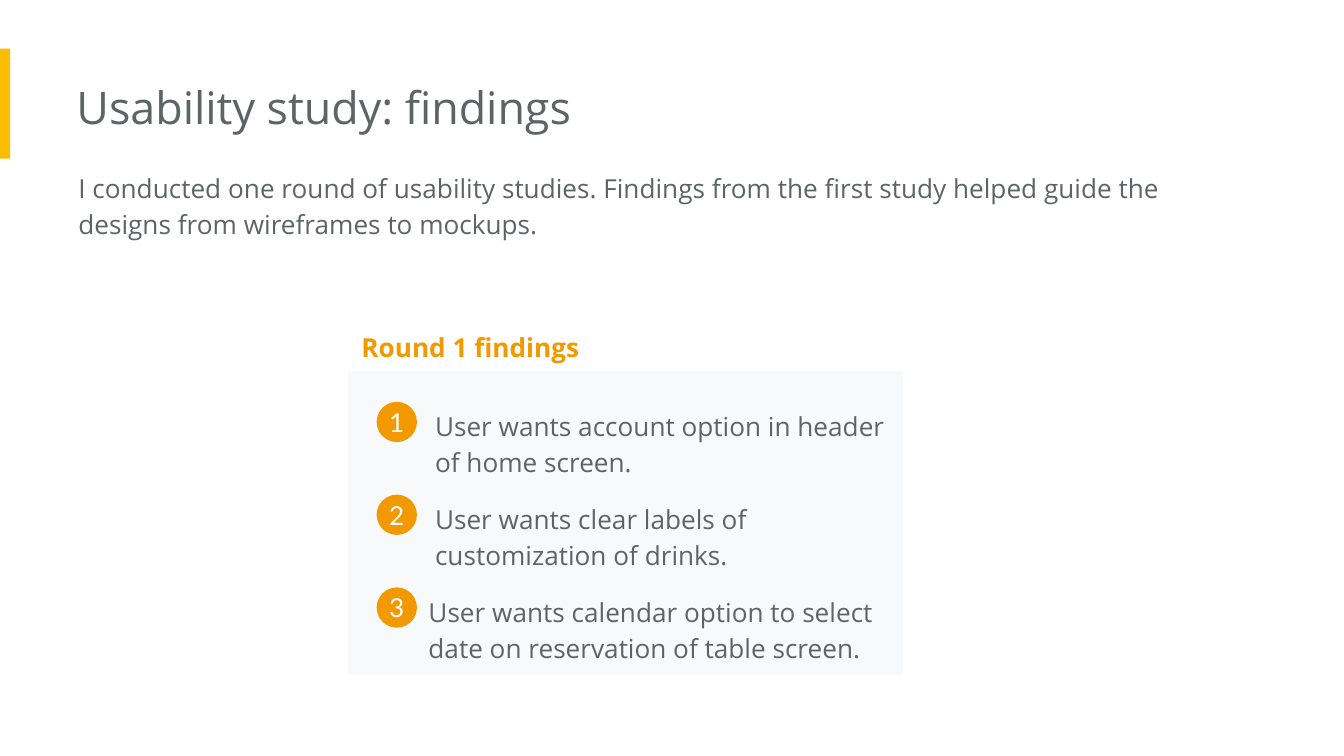
from pptx import Presentation
from pptx.dml.color import RGBColor
from pptx.enum.shapes import MSO_SHAPE
from pptx.enum.text import MSO_ANCHOR, PP_ALIGN
from pptx.util import Pt

COLORS = {
    "bar": "FBBC04",
    "text": "5F6368",
    "accent": "F29900",
    "panel": "F8F9FA",
    "white": "FFFFFF",
}
INSET = 7.2

# Left edge and wording of each finding
ITEMS = [
    (226, "User wants account option in header of home screen."),
    (226, "User wants clear labels of customization of drinks."),
    (222.5, "User wants calendar option to select date on reservation of table screen."),
]
TOP, STEP = 210.2, 49.7


def color(name):
    return RGBColor.from_string(COLORS[name])


def style(para, size, font, tint, bold=False):
    para.font.size = Pt(size)
    para.font.name = font
    para.font.bold = bold
    para.font.color.rgb = color(tint)


def add_text(slide, box, text, size=14, tint="text", bold=False, left=INSET, space=1.15):
    frame = slide.shapes.add_textbox(*map(Pt, box)).text_frame
    frame.word_wrap = True
    frame.margin_left = Pt(left)
    frame.margin_top = frame.margin_right = frame.margin_bottom = Pt(INSET)
    para = frame.paragraphs[0]
    para.text = text
    para.line_spacing = space
    style(para, size, "Open Sans", tint, bold)


def add_block(slide, kind, box, tint):
    shape = slide.shapes.add_shape(kind, *map(Pt, box))
    shape.shadow.inherit = False
    shape.fill.solid()
    shape.fill.fore_color.rgb = color(tint)
    shape.line.fill.background()
    return shape


def add_badge(slide, top, num):
    shape = add_block(slide, MSO_SHAPE.OVAL, (201.8, top, 21.6, 21.6), "accent")
    frame = shape.text_frame
    frame.margin_left = frame.margin_top = frame.margin_right = frame.margin_bottom = 0
    frame.vertical_anchor = MSO_ANCHOR.MIDDLE
    para = frame.paragraphs[0]
    para.text = str(num)
    para.alignment = PP_ALIGN.CENTER
    style(para, 14, "Lato", "white")


def main():
    deck = Presentation()
    deck.slide_width, deck.slide_height = Pt(720), Pt(405)
    slide = deck.slides.add_slide(deck.slide_layouts[6])

    # Heading and summary
    add_block(slide, MSO_SHAPE.RECTANGLE, (0, 26, 5.5, 59), "bar")
    add_text(slide, (41, 35.3, 484.5, 44), "Usability study: findings", 24, left=0, space=1)
    add_text(
        slide, (42, 82.8, 620, 90),
        "I conducted one round of usability studies. Findings from the first study "
        "helped guide the designs from wireframes to mockups.",
        left=0,
    )

    # Findings panel
    add_text(slide, (186.5, 167.8, 263, 32), "Round 1 findings", tint="accent", bold=True)
    add_block(slide, MSO_SHAPE.RECTANGLE, (186.5, 199, 297.3, 162.5), "panel")

    # Numbered findings
    for i, (left, text) in enumerate(ITEMS):
        top = TOP + i * STEP
        add_text(slide, (left, top, 263, 51), text)
        add_badge(slide, top + 5.1, i + 1)

    deck.save("out.pptx")


if __name__ == "__main__":
    main()
